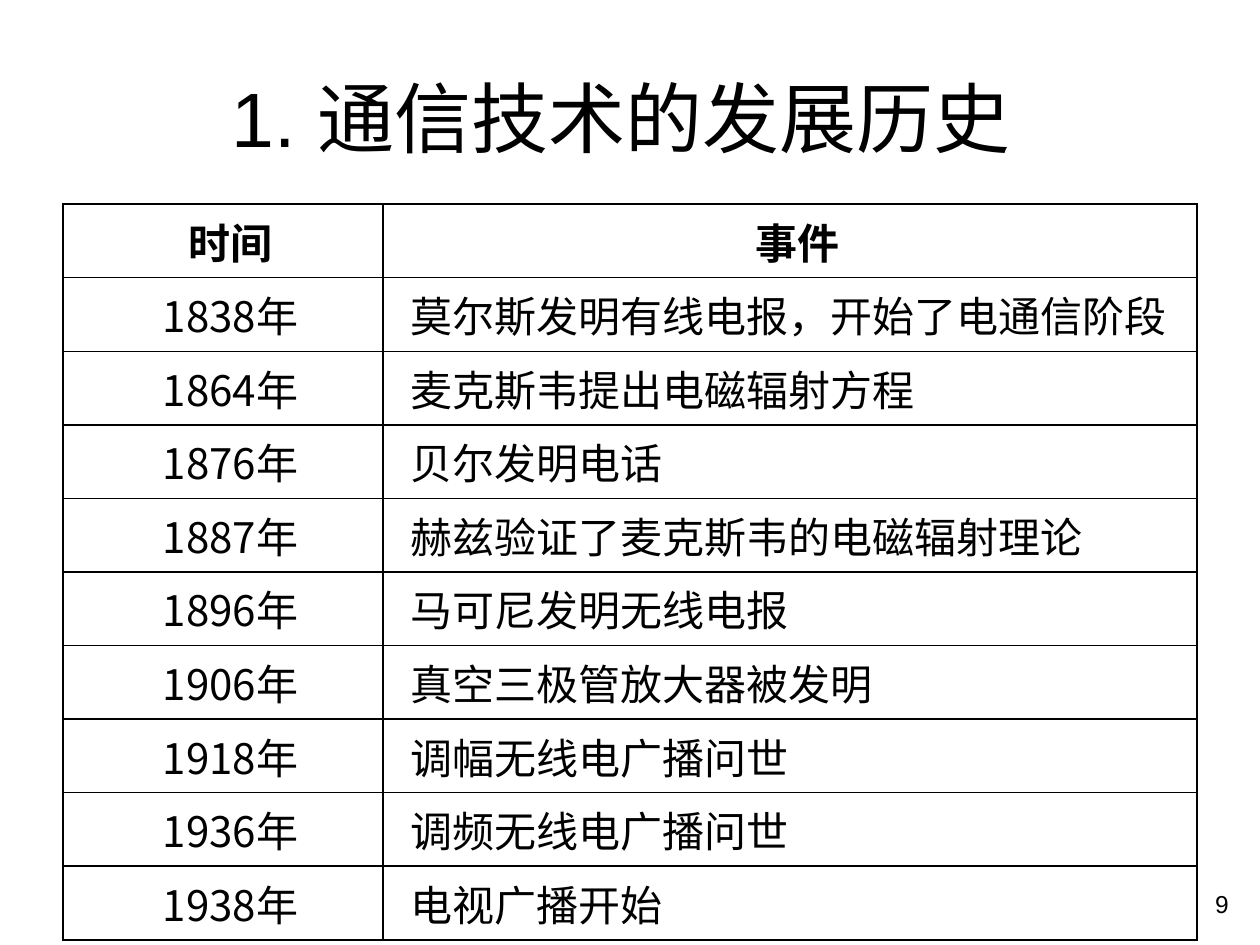
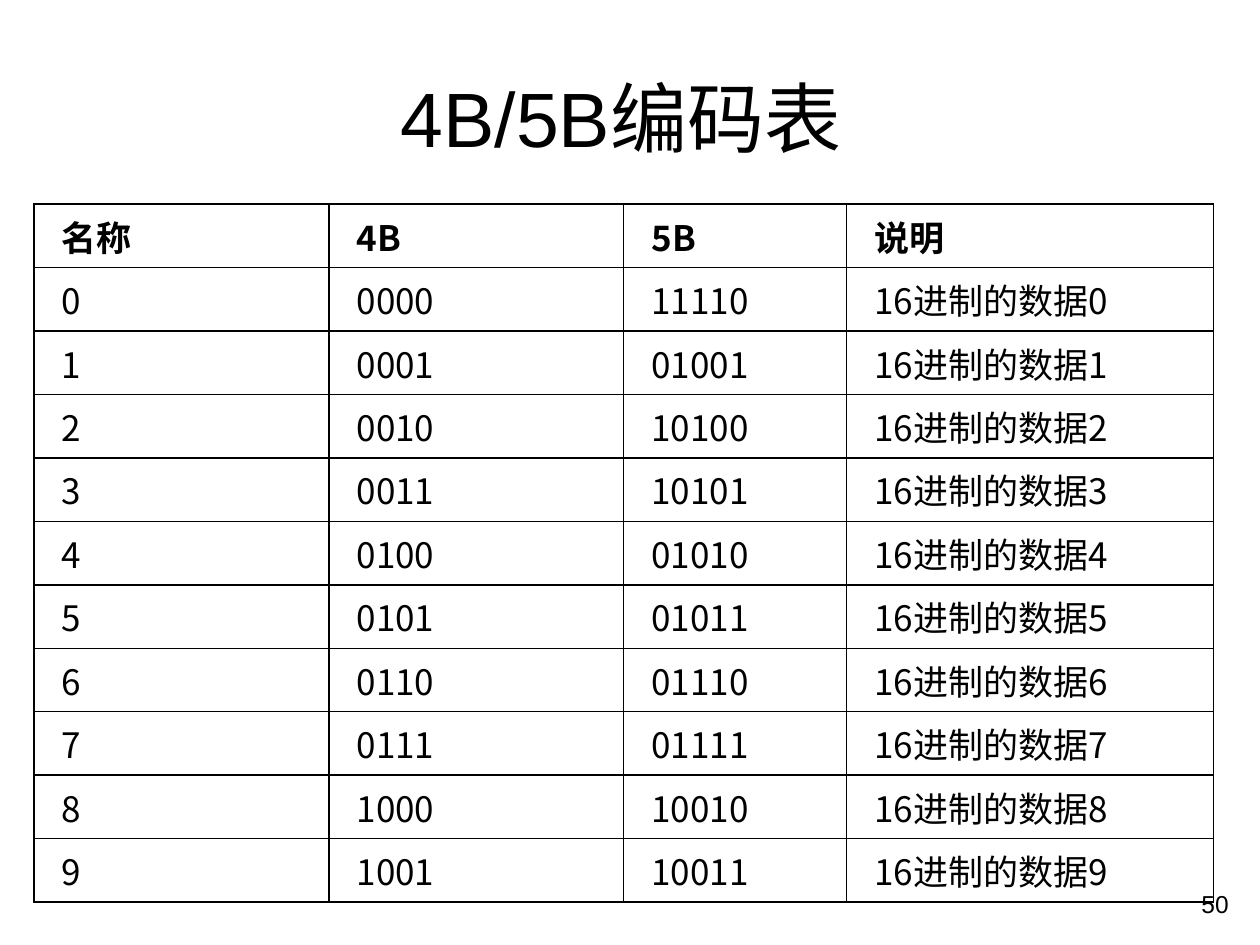
from dataclasses import dataclass

import pptx
import pptx.dml.color
import pptx.enum.text
import pptx.oxml
import pptx.oxml.ns
import pptx.util
from lxml import etree

Pt = pptx.util.Pt
Align = pptx.enum.text.PP_ALIGN
qn = pptx.oxml.ns.qn


@dataclass(frozen=True)
class Theme:
    ink: str = "000000"
    latin: str = "Arial"
    asian: str = "Noto Sans CJK SC"
    title: int = 44
    event: int = 24
    code: int = 20
    page: int = 14
    line: int = 1
    margin: float = 28.8
    indent: float = -20.16


THEME = Theme()
TITLE_BOX = (36, 21.6, 648, 90)
PAGE_BOX = (660.24, 504.72, 48.96, 28.8)

EVENTS = [
    ("时间", "事件"),
    ("1838年", "莫尔斯发明有线电报，开始了电通信阶段"),
    ("1864年", "麦克斯韦提出电磁辐射方程"),
    ("1876年", "贝尔发明电话"),
    ("1887年", "赫兹验证了麦克斯韦的电磁辐射理论"),
    ("1896年", "马可尼发明无线电报"),
    ("1906年", "真空三极管放大器被发明"),
    ("1918年", "调幅无线电广播问世"),
    ("1936年", "调频无线电广播问世"),
    ("1938年", "电视广播开始"),
]
FIVE_BIT = ["11110", "01001", "10100", "10101", "01010",
            "01011", "01110", "01111", "10010", "10011"]
CODES = [("名称", "4B", "5B", "说明")] + [
    (str(n), f"{n:04b}", code, f"16进制的数据{n}")
    for n, code in enumerate(FIVE_BIT)
]


def write(para, text, size, face, align, bold=False):
    """Fill one paragraph and give it its type style."""
    para.text = text
    para.alignment = align
    font = para.font
    font.size = Pt(size)
    font.bold = bold
    font.color.rgb = pptx.dml.color.RGBColor.from_string(THEME.ink)
    font.name = face
    etree.SubElement(font._rPr, qn("a:ea"), typeface=THEME.asian)


def border(cell):
    """Rule all four sides of a cell."""
    props = cell._tc.get_or_add_tcPr()
    for spot, side in enumerate("LRTB"):
        line = etree.Element(qn(f"a:ln{side}"), w=str(Pt(THEME.line)))
        fill = etree.SubElement(line, qn("a:solidFill"))
        etree.SubElement(fill, qn("a:srgbClr"), val=THEME.ink)
        props.insert(spot, line)


def add_title(slide, box, text):
    title = slide.shapes.title
    title.left, title.top, title.width, title.height = map(Pt, box)
    frame = title.text_frame
    frame.vertical_anchor = pptx.enum.text.MSO_ANCHOR.MIDDLE
    write(frame.paragraphs[0], text, THEME.title, THEME.latin, Align.CENTER)


def add_page(slide, box, number):
    frame = slide.shapes.add_textbox(*map(Pt, box)).text_frame
    frame.word_wrap = True
    write(frame.paragraphs[0], str(number), THEME.page, THEME.latin,
          Align.RIGHT)


def add_grid(slide, spot, rows, widths, height, size, align):
    """Draw a ruled table; align(row, col) picks each cell's alignment."""
    left, top = spot
    box = (left, top, sum(widths), height * len(rows))
    table = slide.shapes.add_table(
        len(rows), len(widths), *map(Pt, box)).table
    table.first_row = table.horz_banding = False
    for col, width in zip(table.columns, widths):
        col.width = Pt(width)
    for r, row in enumerate(rows):
        table.rows[r].height = Pt(height)
        for c, text in enumerate(row):
            cell = table.cell(r, c)
            cell.fill.background()
            border(cell)
            para = cell.text_frame.paragraphs[0]
            props = para._p.get_or_add_pPr()
            props.set("marL", str(Pt(THEME.margin)))
            props.set("indent", str(Pt(THEME.indent)))
            write(para, text, size, THEME.asian, align(r, c), r == 0)


def add_slide(deck, title, number, **grid):
    slide = deck.slides.add_slide(deck.slide_layouts[5])
    add_title(slide, TITLE_BOX, title)
    add_grid(slide, **grid)
    add_page(slide, PAGE_BOX, number)


def main():
    deck = pptx.Presentation()
    deck.slide_width, deck.slide_height = Pt(720), Pt(540)

    # History of communication
    add_slide(deck, "1. 通信技术的发展历史 ", 9,
              spot=(36, 116.64), rows=EVENTS, widths=(182.88, 465.12),
              height=35.4, size=THEME.event,
              align=lambda r, c: Align.LEFT if r and c else Align.CENTER)

    # Code table
    add_slide(deck, "4B/5B编码表 ", 50,
              spot=(19.44, 116.64), rows=CODES,
              widths=(168.48, 168.48, 127.44, 209.52),
              height=28.1, size=THEME.code,
              align=lambda r, c: Align.JUSTIFY)

    deck.save("out.pptx")


if __name__ == "__main__":
    main()
